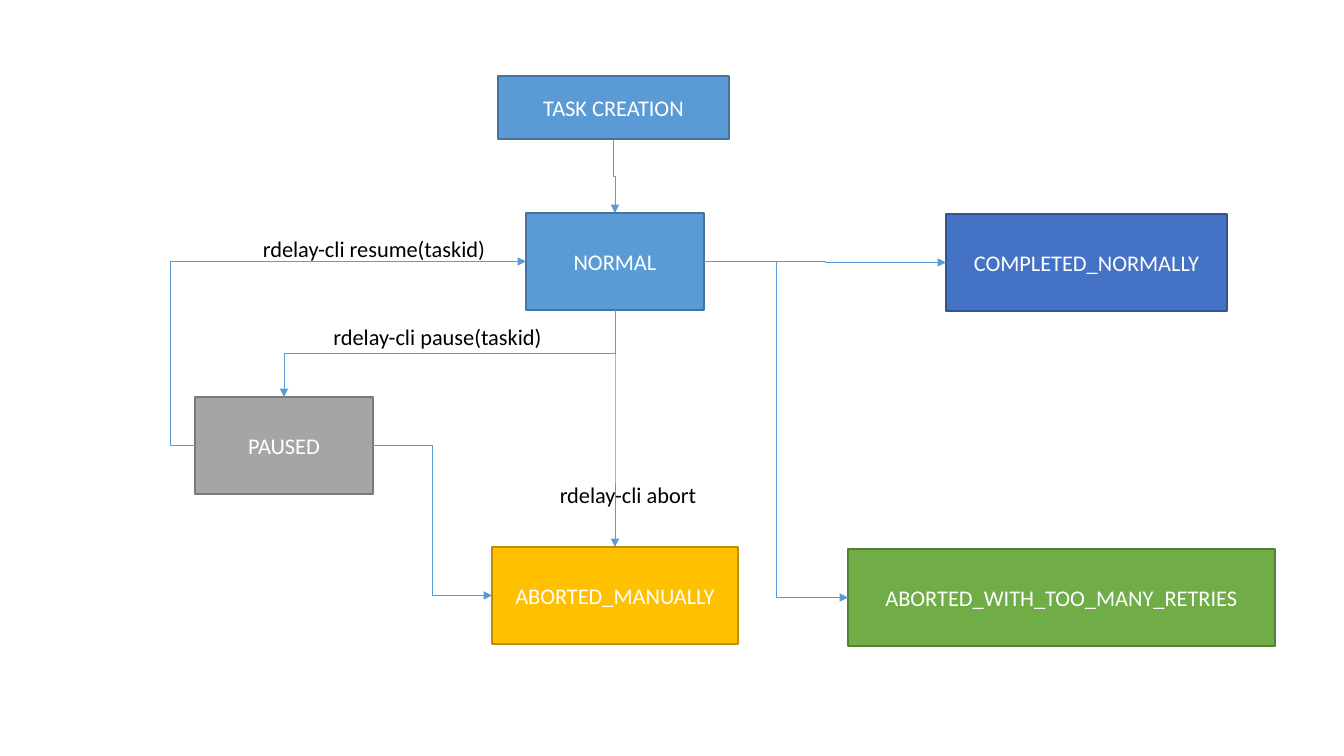
from pptx import Presentation
from pptx.dml.color import RGBColor
from pptx.enum.shapes import MSO_CONNECTOR, MSO_SHAPE
from pptx.enum.text import MSO_ANCHOR, PP_ALIGN
from pptx.oxml.ns import qn
from pptx.util import Emu, Pt
from lxml import etree

ELBOW = MSO_CONNECTOR.ELBOW
RECT = MSO_SHAPE.RECTANGLE
MIDDLE = MSO_ANCHOR.MIDDLE
CENTER = PP_ALIGN.CENTER
TOP, LEFT, BOTTOM, RIGHT = range(4)
EMU_PER_PX = 914400 / 100.8
BLUE, WHITE, BLACK = "5B9BD5", "FFFFFF", "000000"
BLUE_EDGE = "43739E"
STATE_H = 97
LABEL_H = 37


def px(n):
    return Emu(round(n * EMU_PER_PX))


def color(value):
    return RGBColor.from_string(value)


def add_text(tf, text, ink):
    tf.word_wrap = True
    p = tf.paragraphs[0]
    p.alignment = CENTER
    r = p.add_run()
    r.text = text
    r.font.name = "Calibri"
    r.font.size = Pt(16)
    r.font.color.rgb = color(ink)


def add_box(s, text, x, y, w, h, fill, edge):
    sp = s.shapes.add_shape(RECT, px(x), px(y), px(w), px(h))
    sp.shadow.inherit = False
    sp.fill.solid()
    sp.fill.fore_color.rgb = color(fill)
    sp.line.color.rgb = color(edge)
    sp.line.width = Pt(1)
    sp.text_frame.vertical_anchor = MIDDLE
    add_text(sp.text_frame, text, WHITE)
    return sp


def add_label(s, text, x, y, w):
    sp = s.shapes.add_textbox(px(x), px(y), px(w), px(LABEL_H))
    add_text(sp.text_frame, text, BLACK)


def turn_vertical(c):
    x1, y1, x2, y2 = c.begin_x, c.begin_y, c.end_x, c.end_y
    mid_x, mid_y = (x1 + x2) // 2, (y1 + y2) // 2
    half_w, half_h = (x2 - x1) // 2, (y2 - y1) // 2
    c.begin_x, c.end_x = mid_x - half_h, mid_x + half_h
    c.begin_y, c.end_y = mid_y + half_w, mid_y - half_w
    c._element.spPr.find(qn("a:xfrm")).set("rot", "5400000")


def add_arrow(s, start, start_side, end, end_side, bend=50000):
    c = s.shapes.add_connector(ELBOW, 0, 0, 0, 0)
    c.begin_connect(start, start_side)
    c.end_connect(end, end_side)
    if start_side == BOTTOM:
        turn_vertical(c)
    c.line.color.rgb = color(BLUE)
    c.line.width = Pt(0.5)
    spPr = c._element.spPr
    guides = spPr.find(qn("a:prstGeom")).find(qn("a:avLst"))
    etree.SubElement(guides, qn("a:gd"), name="adj1", fmla=f"val {bend}")
    etree.SubElement(spPr.find(qn("a:ln")), qn("a:tailEnd"), type="triangle")
    etree.SubElement(spPr, qn("a:effectLst"))


def main():
    prs = Presentation()
    prs.slide_width, prs.slide_height = px(1344), px(756)
    s = prs.slides.add_slide(prs.slide_layouts[6])

    creation = add_box(s, "TASK CREATION", 498, 76, 231, 63, BLUE, BLUE_EDGE)
    normal = add_box(s, "NORMAL", 526, 213, 178, STATE_H, BLUE, BLUE_EDGE)
    completed = add_box(s, "COMPLETED_NORMALLY", 946, 214, 281, STATE_H,
                        "4472C4", "325491")
    paused = add_box(s, "PAUSED", 195, 397, 178, STATE_H, "A5A5A5", "7A7A7A")
    aborted = add_box(s, "ABORTED_MANUALLY", 492, 547, 246, STATE_H,
                      "FFC000", "BD8E00")
    retries = add_box(s, "ABORTED_WITH_TOO_MANY_RETRIES", 848, 549, 427,
                      STATE_H, "70AD47", "538035")

    add_arrow(s, creation, BOTTOM, normal, TOP)
    add_arrow(s, normal, BOTTOM, paused, TOP)
    add_arrow(s, normal, BOTTOM, aborted, TOP)
    add_arrow(s, normal, RIGHT, completed, LEFT)
    add_arrow(s, normal, RIGHT, retries, LEFT)
    add_arrow(s, paused, RIGHT, aborted, LEFT)
    add_arrow(s, paused, LEFT, normal, LEFT, bend=-7600)

    add_label(s, "rdelay-cli pause(taskid)", 302, 318, 271)
    add_label(s, "rdelay-cli resume(taskid)", 249, 230, 250)
    add_label(s, "rdelay-cli abort", 533, 476, 190)

    prs.save("out.pptx")


if __name__ == "__main__":
    main()
